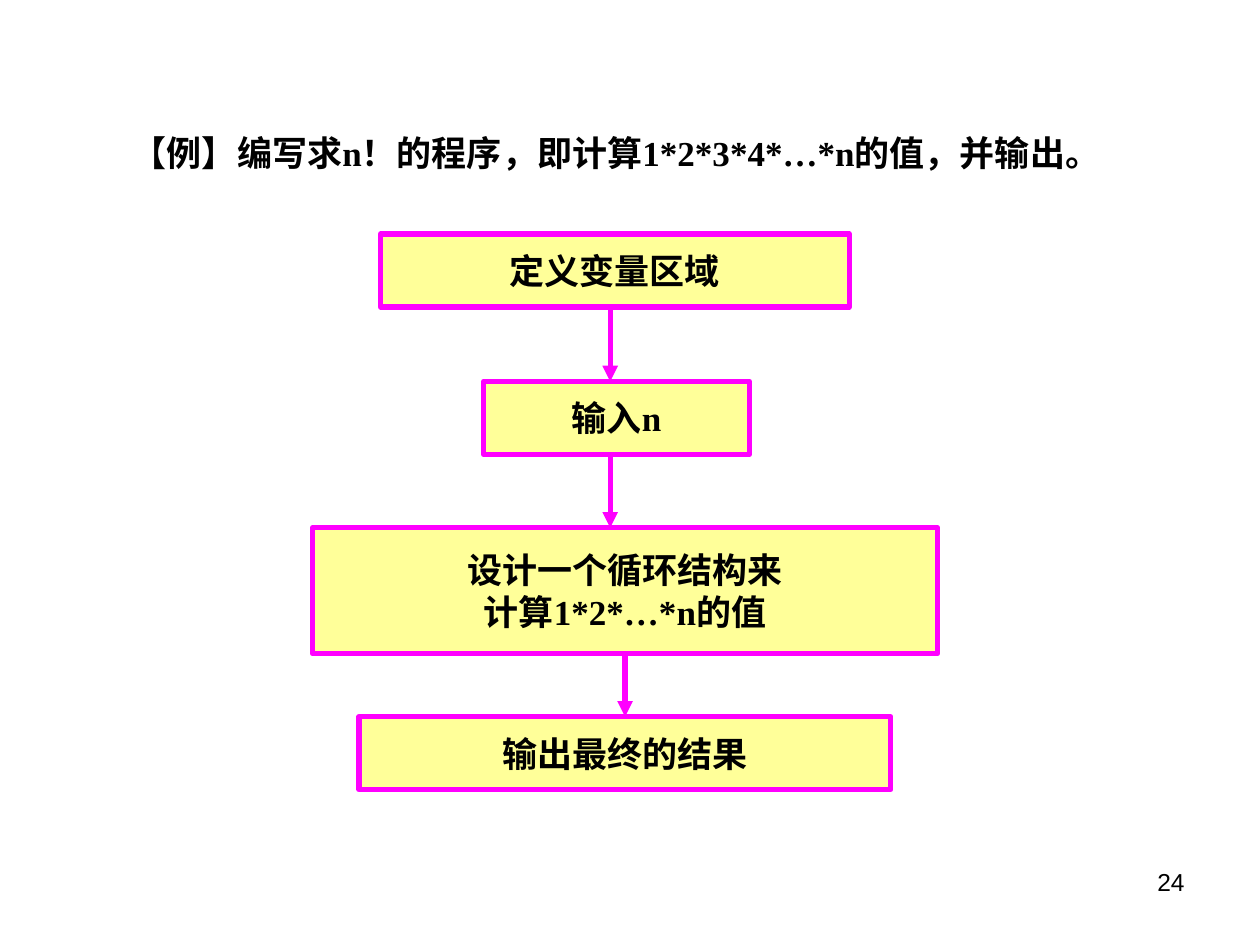
from pptx import Presentation
from pptx.dml.color import RGBColor as RGB
from pptx.enum.shapes import MSO_CONNECTOR as CONN, MSO_SHAPE as SHAPE
from pptx.enum.text import MSO_ANCHOR as ANCHOR, PP_ALIGN as ALIGN
from pptx.oxml.ns import qn
from pptx.util import Cm, Pt
from lxml.etree import SubElement

# Content
TITLE = "【例】编写求n！的程序，即计算1*2*3*4*…*n的值，并输出。"
PAGE = "24"
# Steps: lines, left, width, height, gap below, x of the arrow below (cm)
STEPS = [
    (["定义变量区域"], 7.67, 9.45, 1.47, 1.5, 12.3),
    (["输入n"], 9.75, 5.36, 1.47, 1.48, 12.3),
    (["设计一个循环结构来", "计算1*2*…*n的值"], 6.3, 12.6, 2.54, 1.27, 12.6),
    (["输出最终的结果"], 7.24, 10.72, 1.47, 0, None),
]
FLOW_TOP = 4.72

THEME = {
    "ink": RGB(0, 0, 0), "fill": RGB(0xFF, 0xFF, 0x99), "line": RGB(0xFF, 0, 0xFF),
    "body_font": "Times New Roman", "page_font": "Arial",
    "body": Pt(20), "page": Pt(14), "stroke": Pt(3),
}


def write(sp, lines, font=THEME["body_font"], size=THEME["body"], bold=True,
          align=ALIGN.CENTER, anchor=ANCHOR.MIDDLE, wrap=False, spacing=None, indent=None):
    tf = sp.text_frame
    tf.word_wrap, tf.vertical_anchor = wrap, anchor
    for i, line in enumerate(lines):
        p = tf.add_paragraph() if i else tf.paragraphs[0]
        p.alignment = align
        if spacing:
            p.line_spacing = spacing
        if indent:
            p._p.get_or_add_pPr().set("indent", str(indent))
        r = p.add_run()
        r.text = line
        r.font.name, r.font.size, r.font.bold = font, size, bold
        r.font.color.rgb = THEME["ink"]


def add_step(s, lines, left, top, width, height):
    sp = s.shapes.add_shape(SHAPE.RECTANGLE, Cm(left), Cm(top), Cm(width), Cm(height))
    sp.shadow.inherit = False
    sp.fill.solid()
    sp.fill.fore_color.rgb = THEME["fill"]
    sp.line.color.rgb, sp.line.width = THEME["line"], THEME["stroke"]
    write(sp, lines)


def add_arrow(s, x, top, bottom):
    c = s.shapes.add_connector(CONN.STRAIGHT, Cm(x), Cm(top), Cm(x), Cm(bottom))
    c.line.color.rgb, c.line.width = THEME["line"], THEME["stroke"]
    SubElement(c.line._get_or_add_ln(), qn("a:tailEnd"), type="triangle")
    SubElement(c._element.spPr, qn("a:effectLst"))


def main():
    prs = Presentation()
    prs.slide_width, prs.slide_height = Cm(25.4), Cm(19.05)
    s = prs.slides.add_slide(prs.slide_layouts[6])

    # Title
    title = s.shapes.add_textbox(Cm(1.7), Cm(2.1), Cm(22.02), Cm(3.05))
    write(title, [TITLE], align=ALIGN.LEFT, anchor=ANCHOR.TOP, wrap=True,
          spacing=1.5, indent=Cm(0.71))

    # Flow of steps, top to bottom
    top = FLOW_TOP
    for lines, left, width, height, gap, arrow_x in STEPS:
        add_step(s, lines, left, top, width, height)
        bottom = top + height
        top = bottom + gap
        if arrow_x:
            add_arrow(s, arrow_x, bottom, top)

    # Page number
    page = s.shapes.add_textbox(Cm(18.2), Cm(17.35), Cm(5.93), Cm(1.32))
    write(page, [PAGE], font=THEME["page_font"], size=THEME["page"], bold=False,
          align=ALIGN.RIGHT, anchor=ANCHOR.TOP, wrap=True)

    prs.save("out.pptx")


if __name__ == "__main__":
    main()
